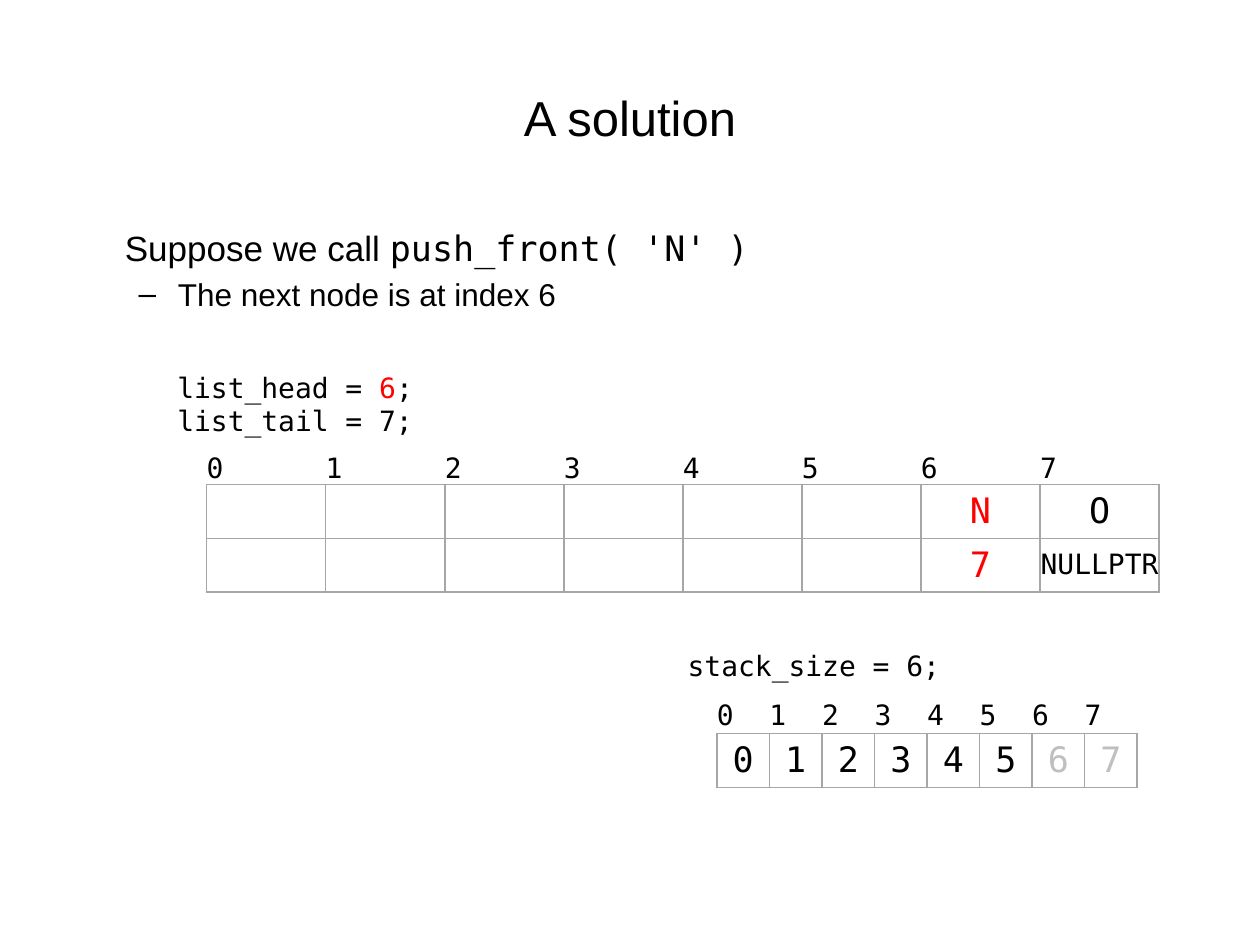
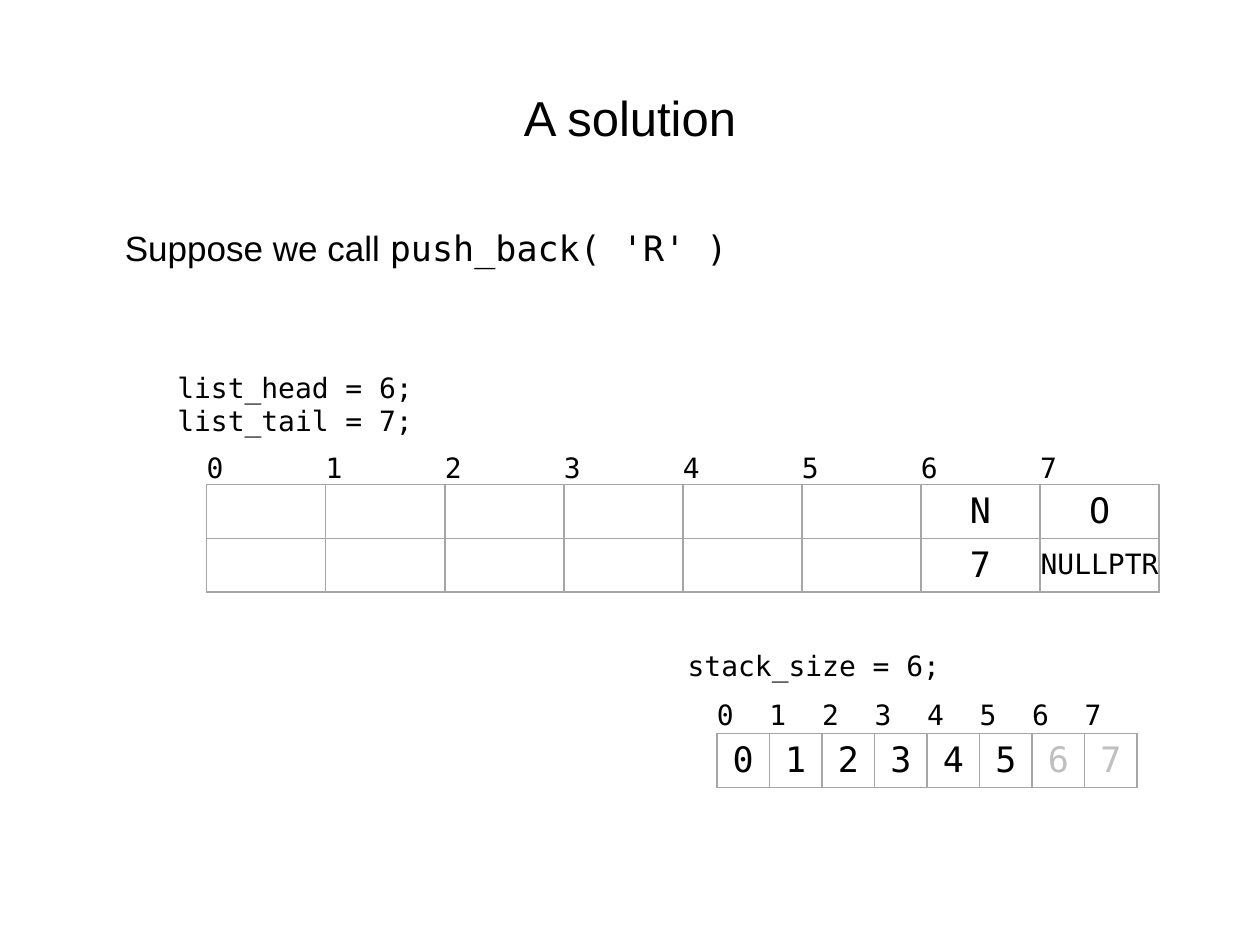
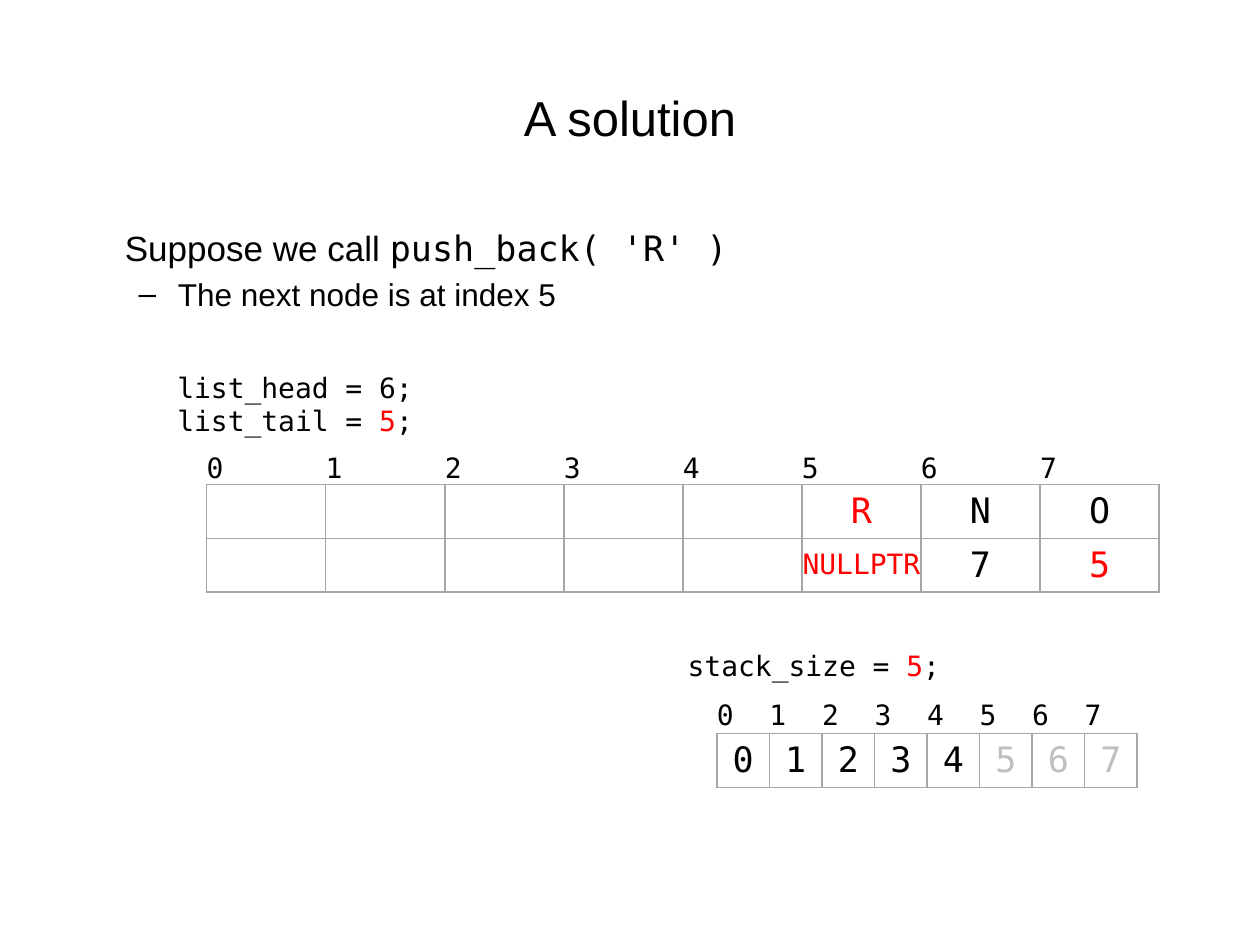
from dataclasses import dataclass

from lxml.etree import SubElement
from pptx import Presentation
from pptx.dml.color import RGBColor
from pptx.enum.text import MSO_ANCHOR, MSO_AUTO_SIZE, PP_ALIGN
from pptx.oxml.ns import qn
from pptx.util import Inches, Pt


@dataclass(frozen=True)
class Theme:
    ink: str = "000000"
    accent: str = "FF0000"
    muted: str = "BFBFBF"
    rule: str = "A6A6A6"
    sans: str = "Arial"
    mono: str = "DejaVu Sans Mono"
    title: int = 28
    lead: int = 20
    item: int = 18
    code: int = 16


T = Theme()
NO_STYLE = "{2D5ABB26-0587-4C30-8999-92F81FD0307C}"
CAPACITY = 8
INDEXES = [str(i) for i in range(CAPACITY)]
NO_MARGIN = dict.fromkeys(
    ("margin_left", "margin_right", "margin_top", "margin_bottom"), 0)

prs = Presentation()
prs.slide_width, prs.slide_height = Inches(10), Inches(7.5)
U = prs.slide_width / 100


def write(p, text, name=T.mono, size=T.code, color=T.ink):
    for i, part in enumerate(text.split("|")):
        if part:
            r = p.add_run()
            r.text = part
            for key, value in {"name": name, "size": Pt(size)}.items():
                setattr(r.font, key, value)
            r.font.color.rgb = RGBColor.from_string(T.accent if i % 2 else color)


def add_grid(s, left, top, col, heights, rows, live=CAPACITY):
    frame = s.shapes.add_table(len(rows), CAPACITY, int(left * U), int(top * U),
                               int(col * CAPACITY * U), int(sum(heights) * U))
    tbl = frame.table
    tbl.first_row = tbl.horz_banding = False
    for style in frame.element.iter(qn("a:tableStyleId")):
        style.text = NO_STYLE
    for column in tbl.columns:
        column.width = int(col * U)
    for i, (height, values) in enumerate(zip(heights, rows)):
        tbl.rows[i].height = int(height * U)
        for j, value in enumerate(values):
            cell = tbl.cell(i, j)
            tcPr = cell._tc.get_or_add_tcPr()
            for side in ("L", "R", "T", "B") if i else ("B",):
                ln = SubElement(tcPr, qn(f"a:ln{side}"), w=str(Pt(1)))
                SubElement(SubElement(ln, qn("a:solidFill")), qn("a:srgbClr"), val=T.rule)
            cell.fill.background()
            small = i == 0 or "NULLPTR" in value
            fmt = dict(NO_MARGIN) if small else {}
            if i and small:
                fmt["vertical_anchor"] = MSO_ANCHOR.MIDDLE
            for key, setting in fmt.items():
                setattr(cell, key, setting)
            p = cell.text_frame.paragraphs[0]
            if i:
                p.alignment = PP_ALIGN.CENTER
            write(p, value, size=T.code if small else T.lead,
                  color=T.muted if i and j >= live else T.ink)


slides = [
    dict(call="push_front( 'N' )", note="The next node is at index 6",
         head="|6|", tail="7", size="6", free=6,
         nodes=[("|N|", "|7|"), ("O", "NULLPTR")]),
    dict(call="push_back( 'R' )", note=None,
         head="6", tail="7", size="6", free=6,
         nodes=[("N", "7"), ("O", "NULLPTR")]),
    dict(call="push_back( 'R' )", note="The next node is at index 5",
         head="6", tail="|5|", size="|5|", free=5,
         nodes=[("|R|", "|NULLPTR|"), ("N", "7"), ("O", "|5|")]),
]

for d in slides:
    s = prs.slides.add_slide(prs.slide_layouts[1])
    title, body = s.placeholders
    boxes = [(title, 5, 3, 90, 12.5), (body, 5, 17.5, 90, 49.5)]
    for sp, *box in boxes:
        for key, value in zip(("left", "top", "width", "height"), box):
            setattr(sp, key, int(value * U))

    p = title.text_frame.paragraphs[0]
    p.alignment = PP_ALIGN.CENTER
    write(p, "A solution", T.sans, T.title)

    p = body.text_frame.paragraphs[0]
    pPr = p._p.get_or_add_pPr()
    for key, value in {"marL": Inches(0.39), "indent": 0}.items():
        pPr.set(key, str(value))
    SubElement(pPr, qn("a:buNone"))
    write(p, "Suppose we call ", T.sans, T.lead)
    write(p, d["call"], T.mono, T.lead)
    if d["note"]:
        p = body.text_frame.add_paragraph()
        p.level = 1
        write(p, d["note"], T.sans, T.item)

    empty = [("", "")] * (CAPACITY - len(d["nodes"]))
    add_grid(s, 16.4, 35.9, 9.45, (2.5, 4.25, 4.25),
             [INDEXES, *zip(*empty, *d["nodes"])])
    add_grid(s, 56.9, 55.5, 4.17, (2.7, 4.3), [INDEXES, INDEXES], d["free"])

    code = [
        ((13.1, 28.9, 34.7, 6.4),
         [f"list_head = {d['head']};", f"list_tail = {d['tail']};"]),
        ((53.6, 51, 23.9, 3.7), [f"stack_size = {d['size']};"]),
    ]
    for box, lines in code:
        tf = s.shapes.add_textbox(*(int(v * U) for v in box)).text_frame
        for key, value in {"word_wrap": True,
                           "auto_size": MSO_AUTO_SIZE.SHAPE_TO_FIT_TEXT}.items():
            setattr(tf, key, value)
        for i, line in enumerate(lines):
            write(tf.add_paragraph() if i else tf.paragraphs[0], line)

prs.save("out.pptx")
